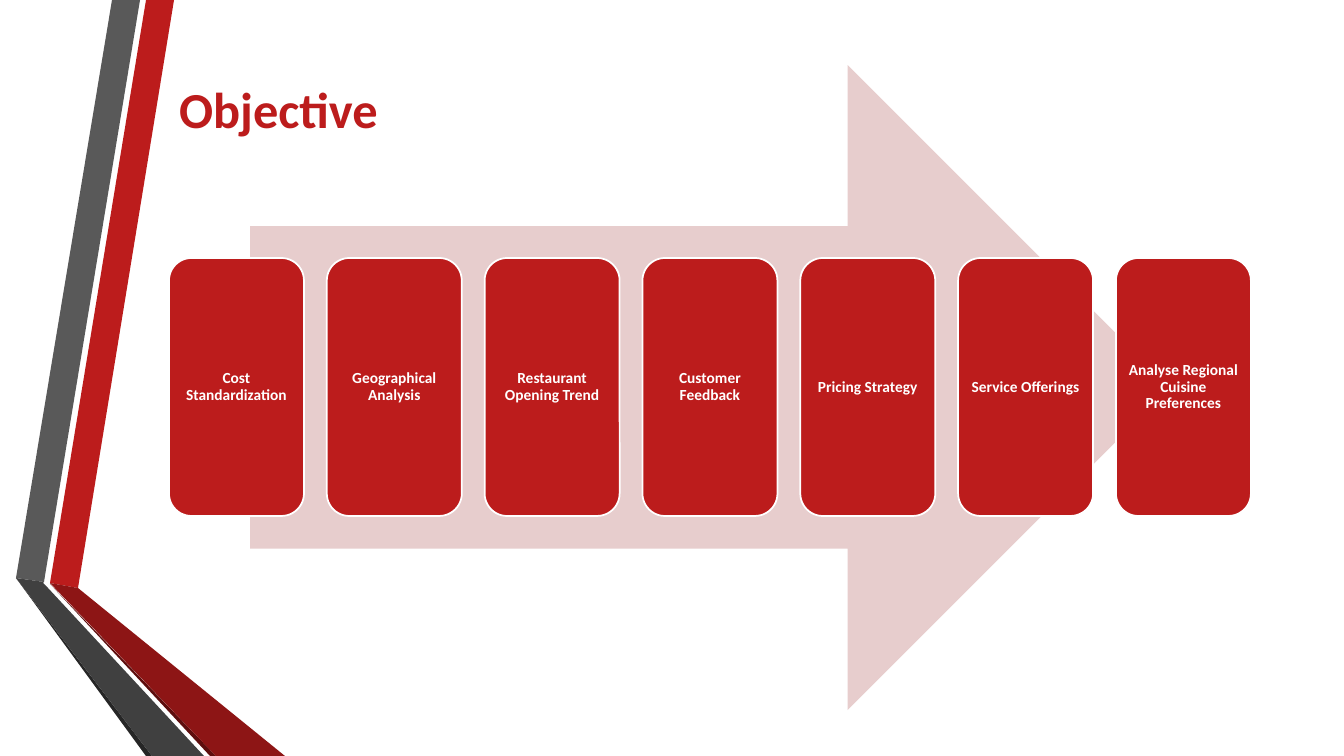
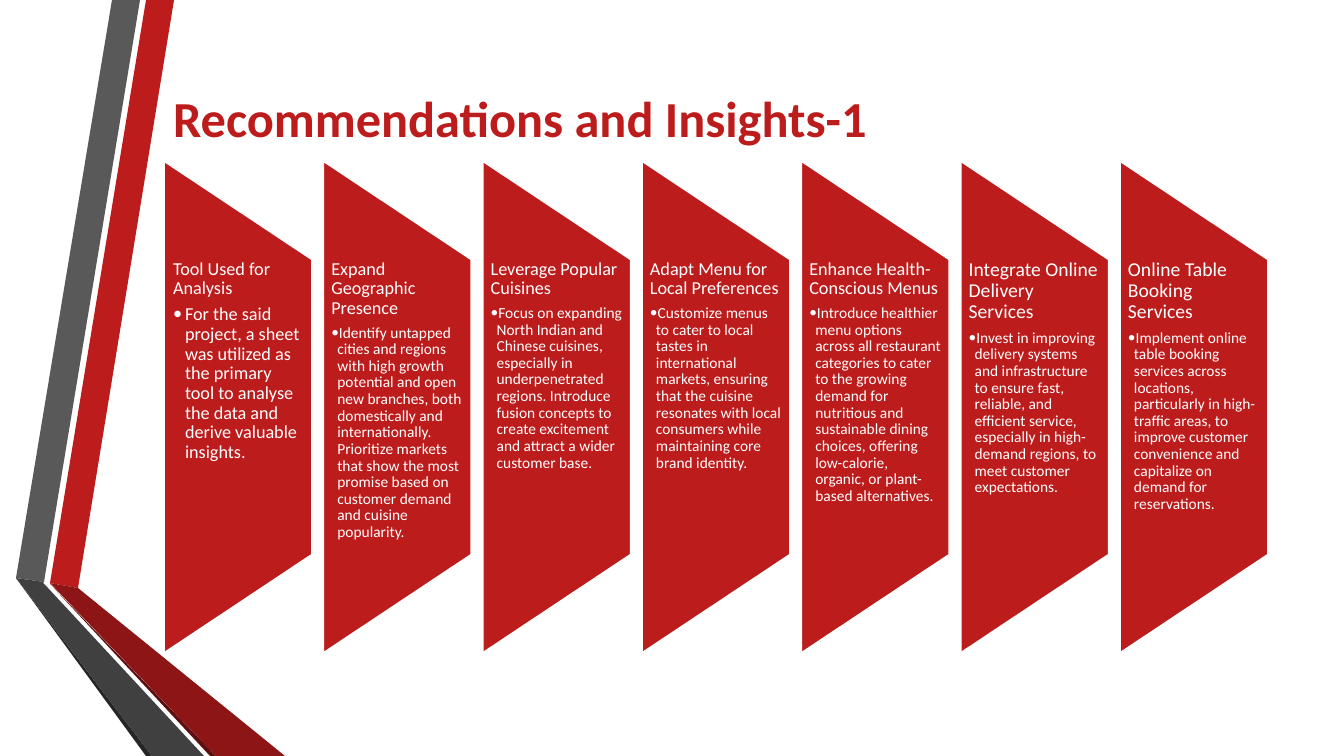
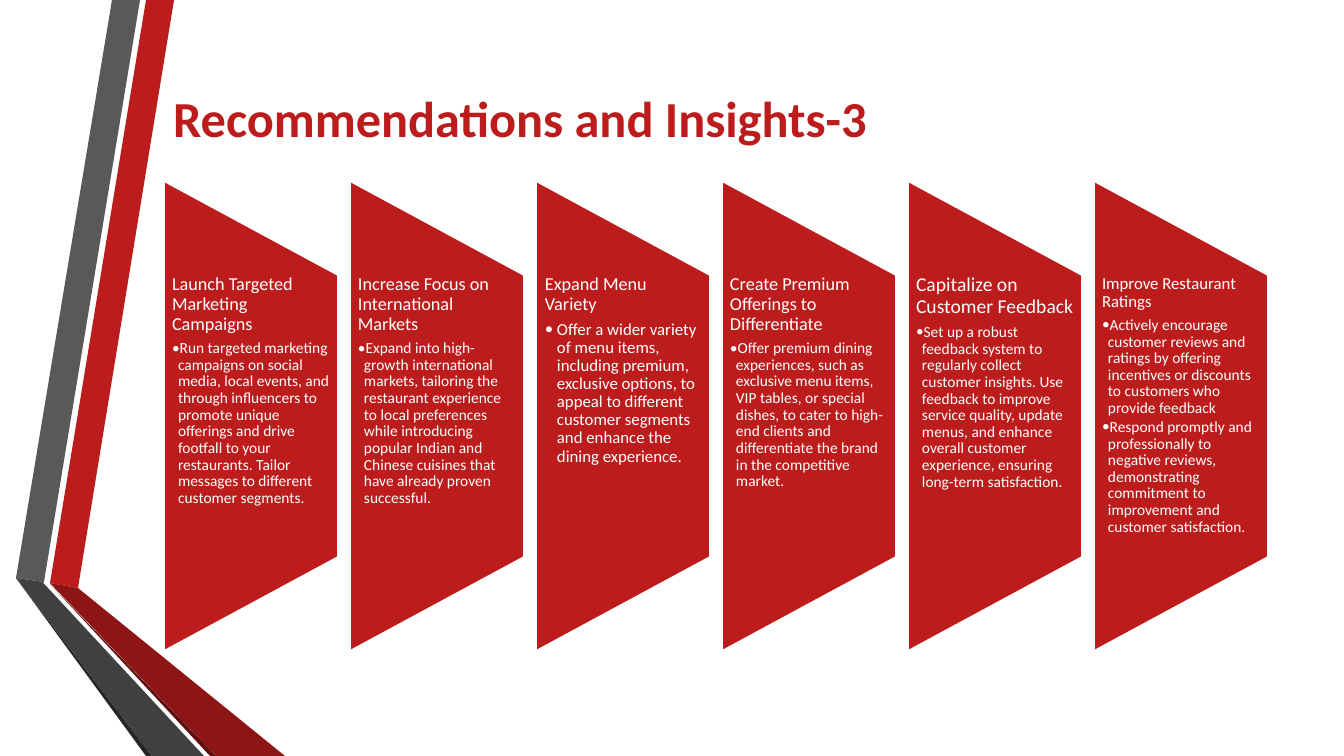
from pptx import Presentation
from pptx.dml.color import RGBColor
from pptx.enum.shapes import MSO_SHAPE
from pptx.enum.text import MSO_ANCHOR, MSO_AUTO_SIZE, PP_ALIGN
from pptx.oxml.ns import qn
from pptx.util import Pt
from lxml.etree import SubElement

EMU_PER_PX = 914400 / 100.8
FONT = "Calibri"
RED = "BC1C1C"
WHITE = "FFFFFF"
PALE_RED = "E7CDCD"

BANDS = [
    (RED, [(50, 583), (78, 588), (174, 0), (146, 0)]),
    ("595959", [(140, 0), (112, 0), (16, 578), (44, 582)]),
    ("262626", [(16, 578), (146, 756), (152, 756)]),
    ("5E0E0E", [(50, 584), (210, 756), (216, 756)]),
    ("8D1515", [(50, 583), (216, 756), (285, 756), (78, 588)]),
    ("404040", [(16, 578), (44, 582), (43, 583), (48, 588), (204, 756), (152, 756)]),
]

OBJECTIVES = [
    "Cost Standardization",
    "Geographical Analysis",
    "Restaurant Opening Trend",
    "Customer Feedback",
    "Pricing Strategy",
    "Service Offerings",
    "Analyse Regional Cuisine Preferences",
]

INSIGHTS_1 = [
    ("Tool Used for Analysis", 13, 13, [
        "For the said project, a sheet was utilized as the primary tool to analyse "
        "the data and derive valuable insights."]),
    ("Expand Geographic Presence", 13, 11, [
        "Identify untapped cities and regions with high growth potential and open "
        "new branches, both domestically and internationally. Prioritize markets "
        "that show the most promise based on customer demand and cuisine popularity."]),
    ("Leverage Popular Cuisines", 13, 11, [
        "Focus on expanding North Indian and Chinese cuisines, especially in "
        "underpenetrated regions. Introduce fusion concepts to create excitement "
        "and attract a wider customer base."]),
    ("Adapt Menu for Local Preferences", 13, 11, [
        "Customize menus to cater to local tastes in international markets, "
        "ensuring that the cuisine resonates with local consumers while "
        "maintaining core brand identity."]),
    ("Enhance Health-Conscious Menus", 13, 11, [
        "Introduce healthier menu options across all restaurant categories to "
        "cater to the growing demand for nutritious and sustainable dining "
        "choices, offering low-calorie, organic, or plant-based alternatives."]),
    ("Integrate Online Delivery Services", 14, 11, [
        "Invest in improving delivery systems and infrastructure to ensure fast, "
        "reliable, and efficient service, especially in high-demand regions, to "
        "meet customer expectations."]),
    ("Online Table Booking Services", 14, 11, [
        "Implement online table booking services across locations, particularly "
        "in high-traffic areas, to improve customer convenience and capitalize "
        "on demand for reservations."]),
]

INSIGHTS_3 = [
    ("Launch Targeted Marketing Campaigns", 13, 11, [
        "Run targeted marketing campaigns on social media, local events, and "
        "through influencers to promote unique offerings and drive footfall to "
        "your restaurants. Tailor messages to different customer segments."]),
    ("Increase Focus on International Markets", 13, 11, [
        "Expand into high-growth international markets, tailoring the restaurant "
        "experience to local preferences while introducing popular Indian and "
        "Chinese cuisines that have already proven successful."]),
    ("Expand Menu Variety", 13, 12, [
        "Offer a wider variety of menu items, including premium, exclusive "
        "options, to appeal to different customer segments and enhance the "
        "dining experience."]),
    ("Create Premium Offerings to Differentiate", 13, 11, [
        "Offer premium dining experiences, such as exclusive menu items, VIP "
        "tables, or special dishes, to cater to high-end clients and "
        "differentiate the brand in the competitive market."]),
    ("Capitalize on Customer Feedback", 14, 11, [
        "Set up a robust feedback system to regularly collect customer insights. "
        "Use feedback to improve service quality, update menus, and enhance "
        "overall customer experience, ensuring long-term satisfaction."]),
    ("Improve Restaurant Ratings", 12, 11, [
        "Actively encourage customer reviews and ratings by offering incentives "
        "or discounts to customers who provide feedback",
        "Respond promptly and professionally to negative reviews, demonstrating "
        "commitment to improvement and customer satisfaction."]),
]


def px(length):
    return round(length * EMU_PER_PX)


def spread(first, last, count):
    return [first + (last - first) * index / (count - 1) for index in range(count)]


def paint(shape, fill, line=None):
    shape.shadow.inherit = False
    shape.fill.solid()
    shape.fill.fore_color.rgb = RGBColor.from_string(fill)
    if line:
        shape.line.color.rgb = RGBColor.from_string(line)
        shape.line.width = Pt(1.25)
    else:
        shape.line.fill.background()


def style_font(paragraph, size, color, bold=False):
    font = paragraph.font
    font.name = FONT
    font.size = Pt(size)
    font.bold = bold
    font.color.rgb = RGBColor.from_string(color)


def set_margins(text_frame, horizontal, vertical):
    text_frame.margin_left = text_frame.margin_right = px(horizontal)
    text_frame.margin_top = text_frame.margin_bottom = px(vertical)


def add_shape(slide, preset, left, top, width, height, fill, line=None):
    shape = slide.shapes.add_shape(preset, px(left), px(top), px(width), px(height))
    paint(shape, fill, line)
    return shape


def add_bands_to_master(presentation, slide):
    master_tree = presentation.slide_master.element.cSld.spTree
    for index, (color, points) in enumerate(BANDS):
        builder = slide.shapes.build_freeform(*points[0], scale=EMU_PER_PX)
        builder.add_line_segments(points[1:], close=True)
        band = builder.convert_to_shape()
        paint(band, color)
        band.element.nvSpPr.cNvPr.id = 100 + index
        master_tree.insert(2 + index, band.element)


def add_titled_slide(presentation, text, left, top, height):
    slide = presentation.slides.add_slide(presentation.slide_layouts.get_by_name("Title Only"))
    title = slide.shapes.title
    title.left, title.top = px(left), px(top)
    title.width, title.height = px(1105), px(height)
    text_frame = title.text_frame
    text_frame.text = text
    text_frame.auto_size = MSO_AUTO_SIZE.NONE
    text_frame.vertical_anchor = MSO_ANCHOR.MIDDLE
    paragraph = text_frame.paragraphs[0]
    paragraph.alignment = PP_ALIGN.LEFT
    style_font(paragraph, 36, RED, bold=True)
    return slide


def add_objective(slide, left, text):
    box = add_shape(slide, MSO_SHAPE.ROUNDED_RECTANGLE, left, 258, 135, 258, RED, WHITE)
    text_frame = box.text_frame
    text_frame.word_wrap = True
    text_frame.vertical_anchor = MSO_ANCHOR.MIDDLE
    set_margins(text_frame, 5, 5)
    text_frame.text = text
    paragraph = text_frame.paragraphs[0]
    paragraph.alignment = PP_ALIGN.CENTER
    paragraph.line_spacing = 0.9
    style_font(paragraph, 11, WHITE, bold=True)


def add_bullet(paragraph, indent):
    paragraph.level = 1
    properties = paragraph._p.get_or_add_pPr()
    properties.set("marL", str(px(indent)))
    properties.set("indent", str(-px(indent)))
    SubElement(properties, qn("a:buFont")).set("typeface", FONT)
    SubElement(properties, qn("a:buChar")).set("char", "•")


def add_panel(slide, left, top, width, height, insight):
    heading, heading_size, body_size, points = insight
    trapezoid = add_shape(
        slide, MSO_SHAPE.FLOWCHART_MANUAL_OPERATION,
        left + (width - height) / 2, top + (height - width) / 2, height, width, RED, WHITE)
    trapezoid.rotation = 270

    text_box = slide.shapes.add_textbox(
        px(left), px(top + height / 5), px(width), px(height * 3 / 5))
    text_frame = text_box.text_frame
    text_frame.word_wrap = True
    inset, indent = (9, 12) if body_size > 11 else (8, 6)
    set_margins(text_frame, inset, 0)

    paragraph = text_frame.paragraphs[0]
    paragraph.text = heading
    paragraph.line_spacing = 0.9
    paragraph.space_after = Pt(round(heading_size * 0.35, 1))
    style_font(paragraph, heading_size, WHITE)
    for point in points:
        paragraph = text_frame.add_paragraph()
        paragraph.text = point
        paragraph.line_spacing = 0.9
        paragraph.space_after = Pt(round(body_size * 0.15, 1))
        add_bullet(paragraph, indent)
        style_font(paragraph, body_size, WHITE)


def add_objective_slide(presentation):
    slide = add_titled_slide(presentation, "Objective", 169, 75, 66)
    add_bands_to_master(presentation, slide)
    add_shape(slide, MSO_SHAPE.RIGHT_ARROW, 250, 65, 920, 645, PALE_RED)
    for left, text in zip(spread(169, 1116, len(OBJECTIVES)), OBJECTIVES):
        add_objective(slide, left, text)


def add_insights_slide(presentation, title, insights, top, width, height):
    slide = add_titled_slide(presentation, title, 163, 82, 70)
    for left, insight in zip(spread(164, 1268 - width, len(insights)), insights):
        add_panel(slide, left, top, width, height, insight)


def main():
    presentation = Presentation()
    presentation.slide_width = px(1344)
    presentation.slide_height = px(756)
    add_objective_slide(presentation)
    add_insights_slide(presentation, "Recommendations and Insights-1", INSIGHTS_1, 161, 148, 492)
    add_insights_slide(presentation, "Recommendations and Insights-3", INSIGHTS_3, 181, 174, 470)
    presentation.save("out.pptx")


if __name__ == "__main__":
    main()
